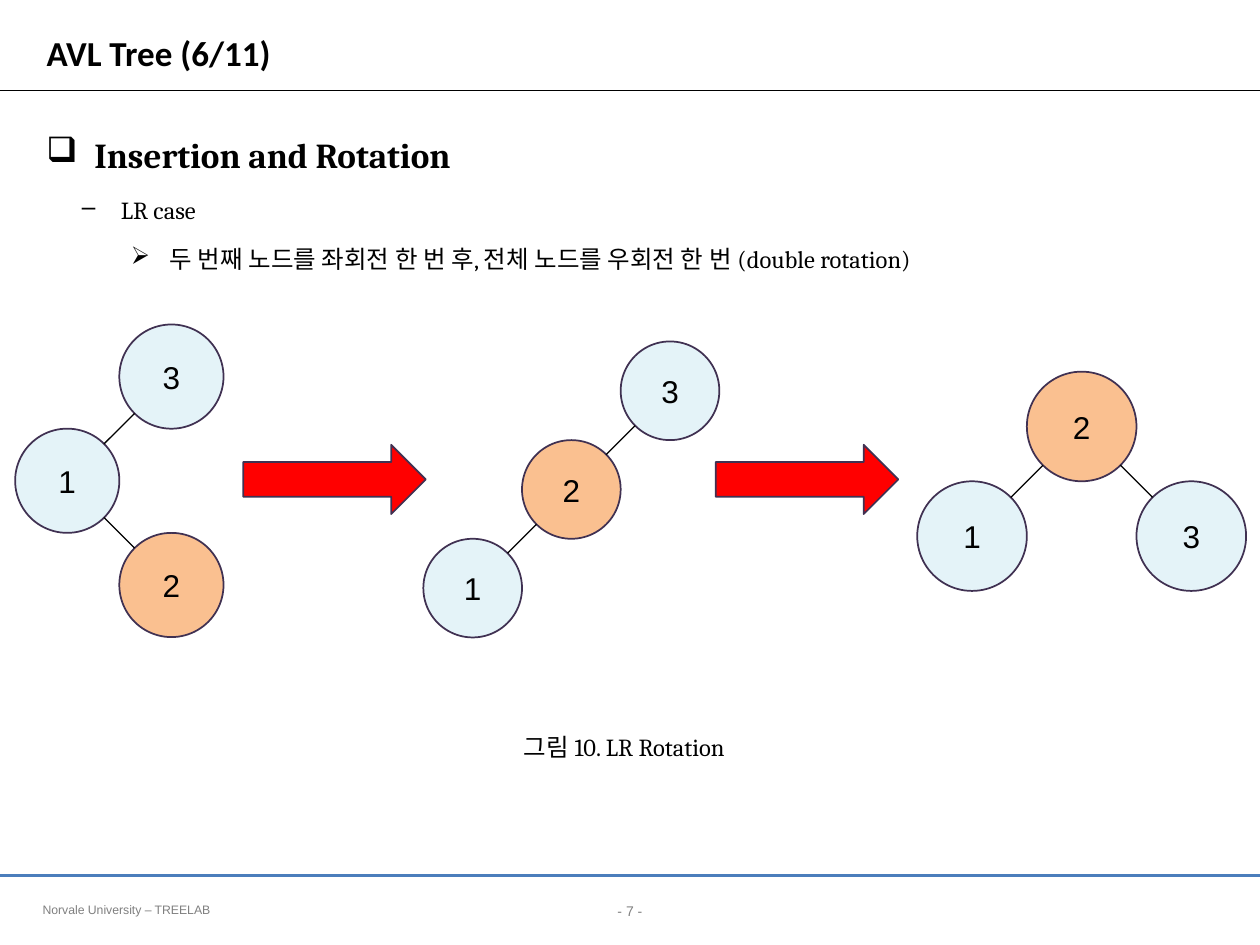
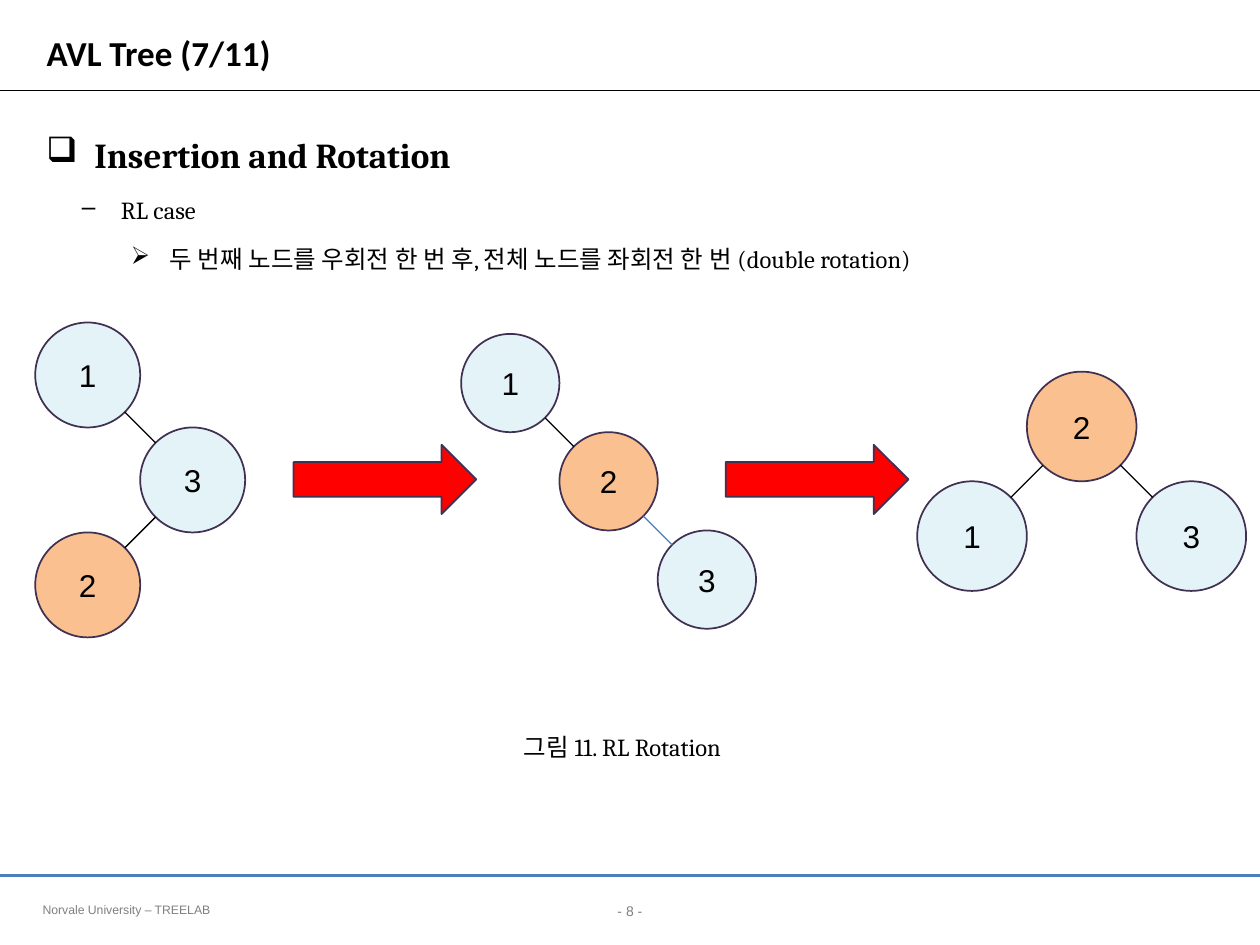
from dataclasses import dataclass
from math import sqrt

from pptx import Presentation
from pptx import util as u
from pptx.dml.color import RGBColor
from pptx.enum import shapes, text
from pptx.oxml.ns import qn

# Grid: 100 columns by 75 rows of square cells
COLS, ROWS = 100, 75
CELL = u.Inches(0.1)

BLACK, GREY, BLUE, RED = "000000", "808080", "4B7EBC", "FF0000"
OUTLINE, PALE, ORANGE = "403152", "E4F3F8", "FAC090"
BODY_FONT, TITLE_FONT, PLAIN_FONT = "Cambria", "Calibri", "Arial"
FOOTER = "Norvale University – TREELAB"


@dataclass(frozen=True)
class Style:
    font: str
    size: float
    color: str = BLACK
    bold: bool = False


@dataclass(frozen=True)
class Bullet:
    char: str
    level: int
    margin: float
    hang: float
    style: Style


@dataclass(frozen=True)
class Node:
    value: int
    col: int
    row: int


@dataclass(frozen=True)
class Tree:
    """Nodes on a lattice whose step is the node diameter; edges join neighbours."""
    left: float
    top: float
    diameter: float
    nodes: tuple[Node, ...]
    edge_colors: tuple[str, str] = (BLACK, BLACK)
    edges: tuple[tuple[int, int], ...] = ((0, 1), (1, 2))


@dataclass(frozen=True)
class RotationSlide:
    page: int
    title: str
    case: str
    steps: str
    caption: str
    trees: tuple[Tree, ...]
    arrows: tuple[float, float]


TITLE = Style(TITLE_FONT, 20, bold=True)
SMALL = Style(BODY_FONT, 14)
NODE_TEXT = Style(PLAIN_FONT, 18)
BULLETS = (
    Bullet("❑", 0, 3.8, 3.8, Style(BODY_FONT, 20, bold=True)),
    Bullet("–", 1, 5.9, 3.1, SMALL),
    Bullet("➢", 1, 9.8, 3.1, SMALL),
)
PIVOT = 2
BALANCED = Tree(72.8, 29.5, 8.7, (Node(1, 0, 1), Node(2, 1, 0), Node(3, 2, 1)))

SLIDES = (
    RotationSlide(
        7, "AVL Tree (6/11)", "LR case",
        "두 번째 노드를 좌회전 한 번 후, 전체 노드를 우회전 한 번 (double rotation)",
        "그림 10. LR Rotation",
        (Tree(1.2, 25.75, 8.27, (Node(3, 1, 0), Node(1, 0, 1), Node(2, 1, 2))),
         Tree(33.6, 27.1, 7.83, (Node(3, 2, 0), Node(2, 1, 1), Node(1, 0, 2))),
         BALANCED),
        (19.3, 56.8)),
    RotationSlide(
        8, "AVL Tree (7/11)", "RL case",
        "두 번째 노드를 우회전 한 번 후, 전체 노드를 좌회전 한 번 (double rotation)",
        "그림 11. RL Rotation",
        (Tree(2.8, 25.6, 8.33, (Node(1, 0, 0), Node(3, 1, 1), Node(2, 0, 2))),
         Tree(36.6, 26.5, 7.8, (Node(1, 0, 0), Node(2, 1, 1), Node(3, 2, 2)),
              (BLACK, BLUE)),
         BALANCED),
        (23.3, 57.6)),
)


def grid(n: float) -> u.Emu:
    return u.Emu(round(n * CELL))


def rgb(value: str) -> RGBColor:
    return RGBColor.from_string(value)


def add_run(p, words: str, style: Style) -> None:
    r = p.add_run()
    r.text = words
    r.font.name, r.font.size = style.font, u.Pt(style.size)
    r.font.bold = style.bold
    r.font.color.rgb = rgb(style.color)


def add_text(s, left: float, top: float, width: float, height: float,
             wrap: bool = True, grow: bool = True):
    tf = s.shapes.add_textbox(*map(grid, (left, top, width, height))).text_frame
    tf.word_wrap = wrap
    tf.auto_size = (text.MSO_AUTO_SIZE.SHAPE_TO_FIT_TEXT if grow
                    else text.MSO_AUTO_SIZE.NONE)
    return tf


def add_line(parent, x1: float, y1: float, x2: float, y2: float,
             color: str, width: float = 0.75) -> None:
    line = parent.add_connector(shapes.MSO_CONNECTOR.STRAIGHT,
                                *map(grid, (x1, y1, x2, y2)))
    line.line.color.rgb = rgb(color)
    line.line.width = u.Pt(width)
    sp_pr = line._element.spPr
    sp_pr.append(sp_pr.makeelement(qn("a:effectLst"), {}))


def add_outlined(parent, kind, left: float, top: float, width: float,
                 height: float, fill: str):
    sp = parent.add_shape(kind, *map(grid, (left, top, width, height)))
    sp.shadow.inherit = False
    sp.fill.solid()
    sp.fill.fore_color.rgb = rgb(fill)
    sp.line.color.rgb = rgb(OUTLINE)
    sp.line.width = u.Pt(1)
    return sp


def add_frame(s, page: int, title: str) -> None:
    """Title, rules and footer shared by every slide."""
    sp = s.shapes.title
    sp.left, sp.top, sp.width, sp.height = map(grid, (2.7, 2.1, 93.9, 4.2))
    tf = sp.text_frame
    tf.auto_size = text.MSO_AUTO_SIZE.NONE
    tf.vertical_anchor = text.MSO_ANCHOR.MIDDLE
    p = tf.paragraphs[0]
    p.alignment = text.PP_ALIGN.LEFT
    add_run(p, title, TITLE)

    add_line(s.shapes, 0, 7.2, COLS, 7.2, BLACK)
    add_line(s.shapes, 0, 69.5, COLS, 69.5, BLUE, 1.5)

    p = add_text(s, 0, 71.1, COLS, 2.4).paragraphs[0]
    p.alignment = text.PP_ALIGN.CENTER
    p.line_spacing, p.space_before = 1.01, u.Pt(4)
    add_run(p, f"- {page} -", Style(PLAIN_FONT, 8, GREY))
    p = add_text(s, 2.4, 71.1, 38.4, 2.2).paragraphs[0]
    add_run(p, FOOTER, Style(PLAIN_FONT, 7, GREY))


def add_bullets(s, lines: tuple[str, ...]) -> None:
    tf = add_text(s, 2.7, 8.4, 93.8, 57.5, grow=False)
    for i, (bullet, words) in enumerate(zip(BULLETS, lines)):
        p = tf.add_paragraph() if i else tf.paragraphs[0]
        p.level = bullet.level
        p.line_spacing = 1.5
        p.space_before = u.Pt(0.2 * bullet.style.size)
        p_pr = p._p.get_or_add_pPr()
        p_pr.set("marL", str(grid(bullet.margin)))
        p_pr.set("indent", str(-grid(bullet.hang)))
        p_pr.append(p_pr.makeelement(qn("a:buChar"), {"char": bullet.char}))
        add_run(p, words, bullet.style)


def add_tree(s, tree: Tree) -> None:
    group = s.shapes.add_group_shape().shapes
    d = tree.diameter
    corners = [(tree.left + n.col * d, tree.top + n.row * d) for n in tree.nodes]

    for node, (x, y) in zip(tree.nodes, corners):
        fill = ORANGE if node.value == PIVOT else PALE
        tf = add_outlined(group, shapes.MSO_SHAPE.OVAL, x, y, d, d, fill).text_frame
        tf.margin_left = tf.margin_right = grid(1.2)
        tf.margin_top = tf.margin_bottom = grid(0.4)
        tf.vertical_anchor = text.MSO_ANCHOR.MIDDLE
        p = tf.paragraphs[0]
        p.alignment = text.PP_ALIGN.CENTER
        add_run(p, str(node.value), NODE_TEXT)

    # Neighbours lie on diagonals, so an edge leaves each circle at 45 degrees
    inset = 1 / sqrt(8)
    for (a, b), color in zip(tree.edges, tree.edge_colors):
        (ax, ay), (bx, by) = corners[a], corners[b]
        dx, dy = (bx - ax) * inset, (by - ay) * inset
        half = d / 2
        add_line(group, ax + half + dx, ay + half + dy,
                 bx + half - dx, by + half - dy, color)


def add_rotation_slide(prs, spec: RotationSlide) -> None:
    s = prs.slides.add_slide(prs.slide_layouts[5])
    add_frame(s, spec.page, spec.title)
    add_bullets(s, ("Insertion and Rotation", spec.case, spec.steps))
    for tree in spec.trees:
        add_tree(s, tree)
    for left in spec.arrows:
        add_outlined(s.shapes, shapes.MSO_SHAPE.RIGHT_ARROW,
                     left, 35.3, 14.5, 5.5, RED)
    tf = add_text(s, 40.6, 57.6, 19.3, 3.4, wrap=False)
    add_run(tf.paragraphs[0], spec.caption, SMALL)


def main() -> None:
    prs = Presentation()
    prs.slide_width, prs.slide_height = grid(COLS), grid(ROWS)
    for spec in SLIDES:
        add_rotation_slide(prs, spec)
    prs.save("out.pptx")


if __name__ == "__main__":
    main()
